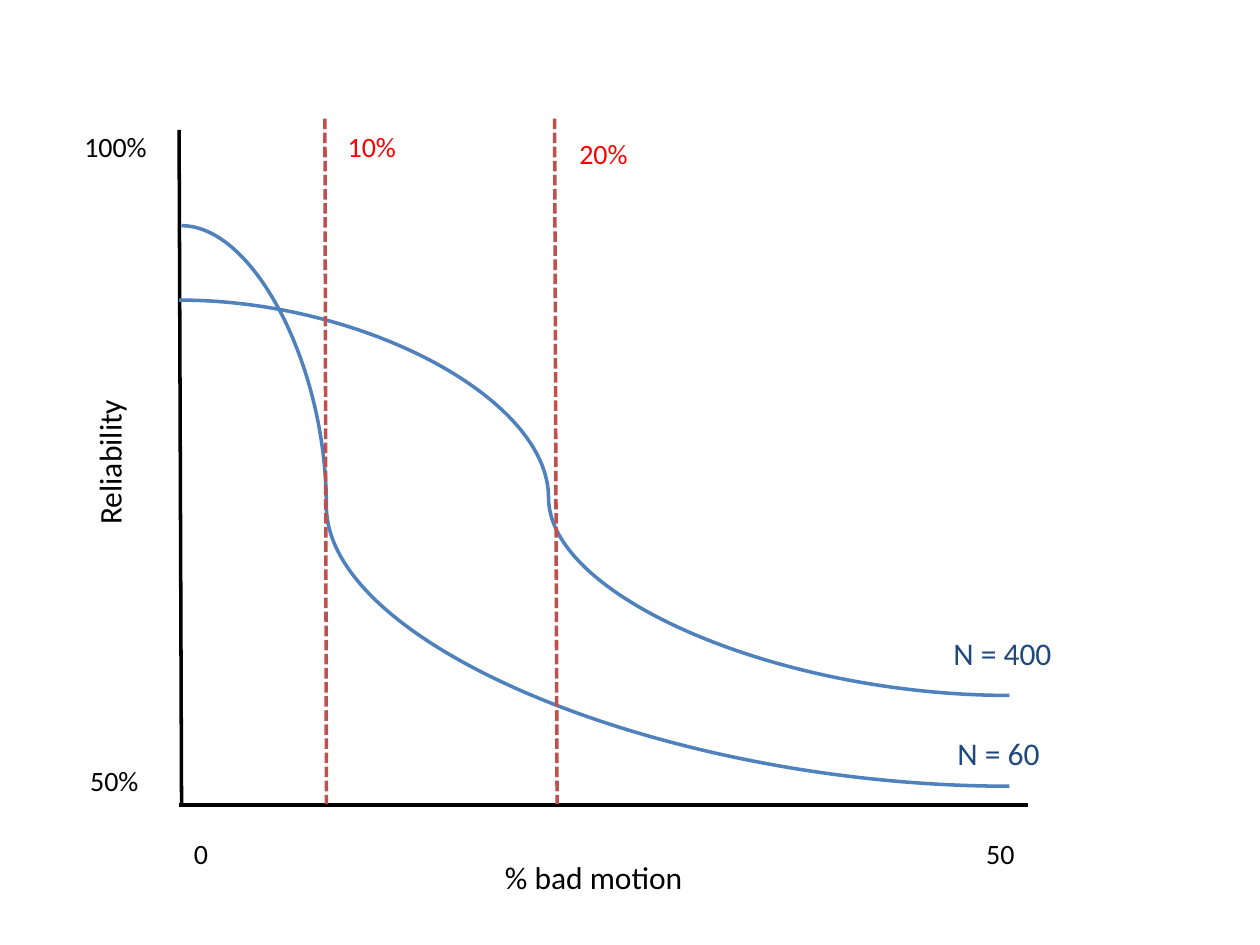
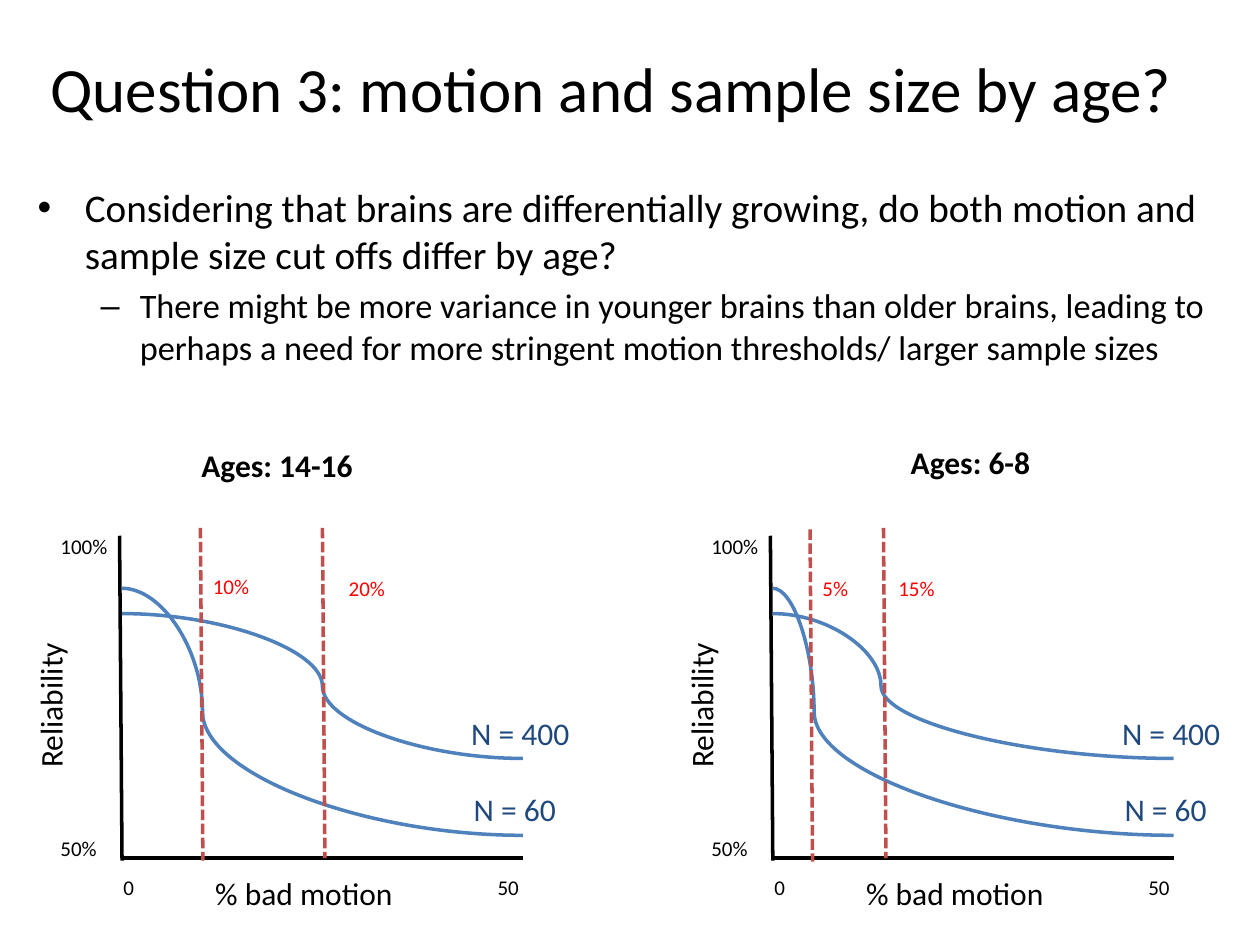
from dataclasses import dataclass

from lxml import etree
from pptx import Presentation
from pptx.dml.color import RGBColor
from pptx.enum.dml import MSO_LINE
from pptx.enum.shapes import MSO_CONNECTOR
from pptx.enum.text import MSO_ANCHOR, PP_ALIGN
from pptx.oxml.ns import qn
from pptx.util import Cm, Pt

STRAIGHT = MSO_CONNECTOR.STRAIGHT
CURVE = MSO_CONNECTOR.CURVE
DASHED = MSO_LINE.SQUARE_DOT
MIDDLE = MSO_ANCHOR.MIDDLE
LEFT, CENTER = PP_ALIGN.LEFT, PP_ALIGN.CENTER
TITLE_ONLY, BLANK = 5, 6


@dataclass(frozen=True)
class Theme:
    font: str = "Calibri"
    ink: RGBColor = RGBColor(0, 0, 0)
    curve: RGBColor = RGBColor(0x4F, 0x81, 0xBD)
    sample: RGBColor = RGBColor(0x1F, 0x49, 0x7D)
    cutoff_line: RGBColor = RGBColor(0xC0, 0x50, 0x4D)
    cutoff_text: RGBColor = RGBColor(0xFF, 0, 0)
    title_size: float = 36
    bullet_sizes: tuple = (22.4, 19.6)
    label_size: float = 18
    line_width: float = 2


@dataclass(frozen=True)
class PlotFrame:
    """Positions of the fixed parts of a plot, in centimetres."""
    y_axis: tuple
    x_axis: tuple
    y_title: tuple
    x_title: tuple
    ticks: dict
    samples: dict
    curves: tuple
    tick_size: float


@dataclass(frozen=True)
class Cutoff:
    text: str
    line: tuple
    label: tuple


# Plot geometry
LARGE_FRAME = PlotFrame(
    y_axis=(3.61, 2.62, 3.66, 16.23),
    x_axis=(20.73, 16.23, 3.61, 16.23),
    y_title=(0.3, 8.41),
    x_title=(9.93, 17.17),
    ticks={"0": (3.66, 16.74), "50": (19.63, 16.74),
           "100%": (1.45, 2.49), "50%": (1.57, 15.27)},
    samples={"N = 400": (18.97, 12.65), "N = 60": (19.05, 14.68)},
    curves=((3.66, 4.55, 20.35, 15.85), (3.61, 6.05, 20.35, 14.02)),
    tick_size=16,
)
SMALL_FRAME = PlotFrame(
    y_axis=(2.41, 10.8, 2.46, 17.35),
    x_axis=(10.54, 17.3, 2.46, 17.3),
    y_title=(-0.89, 13.31),
    x_title=(4.09, 17.5),
    ticks={"0": (2.24, 17.5), "50": (9.78, 17.5),
           "100%": (0.97, 10.64), "50%": (0.97, 16.71)},
    samples={"N = 400": (9.25, 14.27), "N = 60": (9.3, 15.8)},
    curves=((2.46, 11.86, 10.54, 16.84), (2.46, 12.37, 10.54, 15.29)),
    tick_size=12,
)
AGE_PLOT_STEP = 13.12


class Deck:
    def __init__(self, theme):
        self.theme = theme
        self.presentation = Presentation()
        self.presentation.slide_width = Cm(25.4)
        self.presentation.slide_height = Cm(19.05)
        self.slide = None

    def add_slide(self, layout):
        layouts = self.presentation.slide_layouts
        self.slide = self.presentation.slides.add_slide(layouts[layout])

    def format(self, paragraph, size, color, bold=False, align=LEFT):
        paragraph.alignment = align
        for run in paragraph.runs:
            run.font.name = self.theme.font
            run.font.size = Pt(size)
            run.font.bold = bold
            run.font.color.rgb = color

    def title(self, text, left, top, width, height):
        shape = self.slide.shapes.title
        shape.left, shape.top = Cm(left), Cm(top)
        shape.width, shape.height = Cm(width), Cm(height)
        frame = shape.text_frame
        frame.text = text
        frame.vertical_anchor = MIDDLE
        self.format(frame.paragraphs[0], self.theme.title_size,
                    self.theme.ink, align=CENTER)

    def text_frame(self, left, top, width, height, rotation=0):
        shape = self.slide.shapes.add_textbox(
            Cm(left), Cm(top), Cm(width), Cm(height))
        shape.rotation = rotation
        shape.text_frame.word_wrap = True
        return shape.text_frame

    def label(self, text, left, top, width, size=None, color=None,
              bold=False, rotation=0):
        size = size or self.theme.label_size
        frame = self.text_frame(left, top, width, 0.25 + size * 0.043,
                                rotation)
        frame.text = text
        self.format(frame.paragraphs[0], size, color or self.theme.ink, bold)

    def bullets(self, items, left, top, width, height):
        frame = self.text_frame(left, top, width, height)
        styles = (("•", 0.95, 0.95), ("–", 2.06, 0.79))
        for index, (level, text) in enumerate(items):
            paragraph = (frame.add_paragraph() if index
                         else frame.paragraphs[0])
            paragraph.text = text
            paragraph.level = level
            size = self.theme.bullet_sizes[level]
            paragraph.space_before = Pt(size * 0.2)
            self.format(paragraph, size, self.theme.ink)
            mark, margin, hanging = styles[level]
            properties = paragraph._p.get_or_add_pPr()
            properties.set("marL", str(Cm(margin)))
            properties.set("indent", str(-Cm(hanging)))
            font = etree.SubElement(properties, qn("a:buFont"))
            font.set("typeface", "Arial")
            etree.SubElement(properties, qn("a:buChar")).set("char", mark)

    def line(self, ends, color, kind=STRAIGHT, dash=None):
        connector = self.slide.shapes.add_connector(
            kind, *(Cm(value) for value in ends))
        connector.line.color.rgb = color
        connector.line.width = Pt(self.theme.line_width)
        if dash:
            connector.line.dash_style = dash
        etree.SubElement(connector._element.spPr, qn("a:effectLst"))
        return connector

    def curve(self, ends, bend):
        connector = self.line(ends, self.theme.curve, CURVE)
        geometry = connector._element.spPr.find(qn("a:prstGeom"))
        adjustments = geometry.find(qn("a:avLst"))
        if adjustments is None:
            adjustments = etree.SubElement(geometry, qn("a:avLst"))
        guide = etree.SubElement(adjustments, qn("a:gd"))
        guide.set("name", "adj1")
        guide.set("fmla", f"val {round(bend * 100000)}")

    def reliability_plot(self, frame, bends, cutoffs, shift=0):
        theme = self.theme

        def moved_line(ends):
            x1, y1, x2, y2 = ends
            return x1 + shift, y1, x2 + shift, y2

        def moved_label(text, place, width, **style):
            self.label(text, place[0] + shift, place[1], width, **style)

        # Axes and their titles
        for axis in (frame.y_axis, frame.x_axis):
            self.line(moved_line(axis), theme.ink)
        moved_label("Reliability", frame.y_title, 3.81, rotation=270)
        moved_label("% bad motion", frame.x_title, 5.2)

        # Curves and cut-offs
        for ends, bend in zip(frame.curves, bends):
            self.curve(moved_line(ends), bend)
        for cutoff in cutoffs:
            self.line(moved_line(cutoff.line), theme.cutoff_line, dash=DASHED)
            moved_label(cutoff.text, cutoff.label, 1.9,
                        size=frame.tick_size, color=theme.cutoff_text)

        # Tick and sample labels
        for text, place in frame.ticks.items():
            moved_label(text, place, 1.9, size=frame.tick_size)
        for text, place in frame.samples.items():
            moved_label(text, place, 2.8, color=theme.sample)


def main():
    deck = Deck(Theme())

    # Slide 1: one large plot
    deck.add_slide(BLANK)
    deck.reliability_plot(LARGE_FRAME, (0.175, 0.445), (
        Cutoff("10%", (6.55, 2.39, 6.58, 16.21), (6.76, 2.49)),
        Cutoff("20%", (11.18, 2.39, 11.23, 16.21), (11.43, 2.62)),
    ))

    # Slide 2: question and one plot per age group
    deck.add_slide(TITLE_ONLY)
    deck.title("Question 3: motion and sample size by age?",
               0.51, 0.18, 23.62, 3.17)
    deck.bullets((
        (0, "Considering that brains are differentially growing, do both "
            "motion and sample size cut offs differ by age?"),
        (1, "There might be more variance in younger brains than older "
            "brains, leading to perhaps a need for more stringent motion "
            "thresholds/ larger sample sizes"),
    ), 0.51, 3.58, 24.33, 4.19)

    deck.label("Ages: 14-16", 3.81, 8.86, 6, bold=True)
    deck.reliability_plot(SMALL_FRAME, (0.201, 0.5), (
        Cutoff("10%", (4.04, 10.64, 4.09, 17.35), (4.04, 11.43)),
        Cutoff("20%", (6.5, 10.64, 6.55, 17.3), (6.78, 11.48)),
    ))
    deck.label("Ages: 6-8", 18.11, 8.81, 6, bold=True)
    deck.reliability_plot(SMALL_FRAME, (0.103, 0.27), (
        Cutoff("5%", (3.21, 10.67, 3.26, 17.37), (3.21, 11.48)),
        Cutoff("15%", (4.69, 10.64, 4.74, 17.3), (4.74, 11.48)),
    ), shift=AGE_PLOT_STEP)

    deck.presentation.save("out.pptx")


if __name__ == "__main__":
    main()
